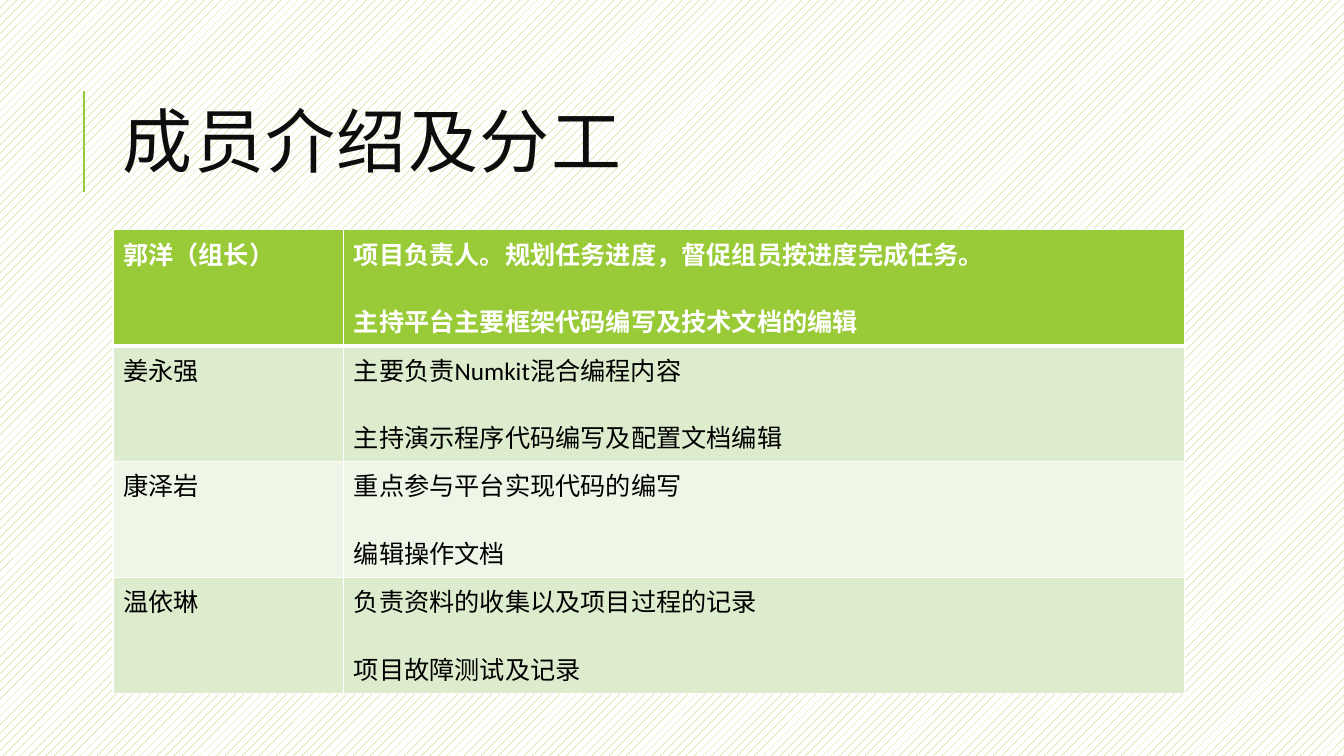
from lxml import etree
from pptx import Presentation
from pptx.dml.color import RGBColor
from pptx.enum.dml import MSO_PATTERN
from pptx.enum.shapes import MSO_CONNECTOR
from pptx.enum.text import MSO_ANCHOR
from pptx.oxml.ns import qn
from pptx.util import Inches, Pt

STRAIGHT = MSO_CONNECTOR.STRAIGHT
MIDDLE = MSO_ANCHOR.MIDDLE
DOTS = MSO_PATTERN.PERCENT_20

GREEN, WHITE, BLACK, INK = "99CB38", "FFFFFF", "000000", "0D0D0D"
BANDS = ["DEECCE", "EFF6E8"]
LEFT, WIDTH = 1.12, 10.63

MEMBERS = [
    ("郭洋（组长）", "项目负责人。规划任务进度，督促组员按进度完成任务。", "主持平台主要框架代码编写及技术文档的编辑"),
    ("姜永强", "主要负责Numkit混合编程内容", "主持演示程序代码编写及配置文档编辑"),
    ("康泽岩", "重点参与平台实现代码的编写", "编辑操作文档"),
    ("温依琳", "负责资料的收集以及项目过程的记录", "项目故障测试及记录"),
]


def rgb(value):
    return RGBColor.from_string(value)


class Deck:
    title_font = "Cabin"
    body_font = "Calibri"

    def __init__(self, prs):
        self.s = prs.slides.add_slide(prs.slide_layouts[6])

    def background(self, fore, back):
        fill = self.s.background.fill
        fill.patterned()
        fill.pattern = DOTS
        fill.fore_color.rgb = rgb(fore)
        fill.back_color.rgb = rgb(back)

    def line(self, x1, y1, x2, y2, color, width):
        cx = self.s.shapes.add_connector(STRAIGHT, Inches(x1), Inches(y1), Inches(x2), Inches(y2))
        cx.line.color.rgb = rgb(color)
        cx.line.width = Pt(width)
        etree.SubElement(cx._element.spPr, qn("a:effectLst"))

    def run(self, p, text, font, size, color, bold=False):
        r = p.add_run()
        r.text = text
        r.font.name = font
        r.font.size = Pt(size)
        r.font.bold = bold
        r.font.color.rgb = rgb(color)
        return r

    def title(self, x, y, w, h, text):
        tf = self.s.shapes.add_textbox(Inches(x), Inches(y), Inches(w), Inches(h)).text_frame
        tf.word_wrap = True
        tf.vertical_anchor = MIDDLE
        p = tf.paragraphs[0]
        p.line_spacing = 0.8
        r = self.run(p, text, self.title_font, 50, INK)
        r.font._element.set("spc", "100")

    def border(self, cell, side, width):
        ln = etree.SubElement(cell._tc.get_or_add_tcPr(), qn("a:" + side), w=str(Pt(width)))
        fill = etree.SubElement(ln, qn("a:solidFill"))
        etree.SubElement(fill, qn("a:srgbClr"), val=WHITE)

    def cell(self, cell, lines, row):
        header = row == 0
        for side in ("lnL", "lnR", "lnT", "lnB"):
            thick = (row, side) in [(0, "lnB"), (1, "lnT")]
            self.border(cell, side, 3 if thick else 1)
        cell.fill.solid()
        cell.fill.fore_color.rgb = rgb(GREEN if header else BANDS[(row - 1) % 2])
        tf = cell.text_frame
        for i, text in enumerate(lines):
            p = tf.add_paragraph() if i else tf.paragraphs[0]
            p.space_before = Pt(22 if i else 0)
            self.run(p, text, self.body_font, 18, WHITE if header else BLACK, header)

    def table(self, x, y, widths, row_height, members):
        frame = self.s.shapes.add_table(len(members), len(widths), Inches(x), Inches(y),
                                        Inches(sum(widths)), Inches(row_height * len(members)))
        for column, width in zip(frame.table.columns, widths):
            column.width = Inches(width)
        for row, (name, *duties) in enumerate(members):
            self.cell(frame.table.cell(row, 0), [name], row)
            self.cell(frame.table.cell(row, 1), duties, row)


prs = Presentation()
prs.slide_width, prs.slide_height = Inches(13.33), Inches(7.5)
deck = Deck(prs)
deck.background(GREEN, WHITE)
deck.line(0.83, 1.9, 0.83, 0.9, GREEN, 1.5)
deck.title(LEFT, 0.64, WIDTH, 1.64, "成员介绍及分工")
deck.table(LEFT, 2.28, [2.29, 8.34], 1.15, MEMBERS)
prs.save("out.pptx")
